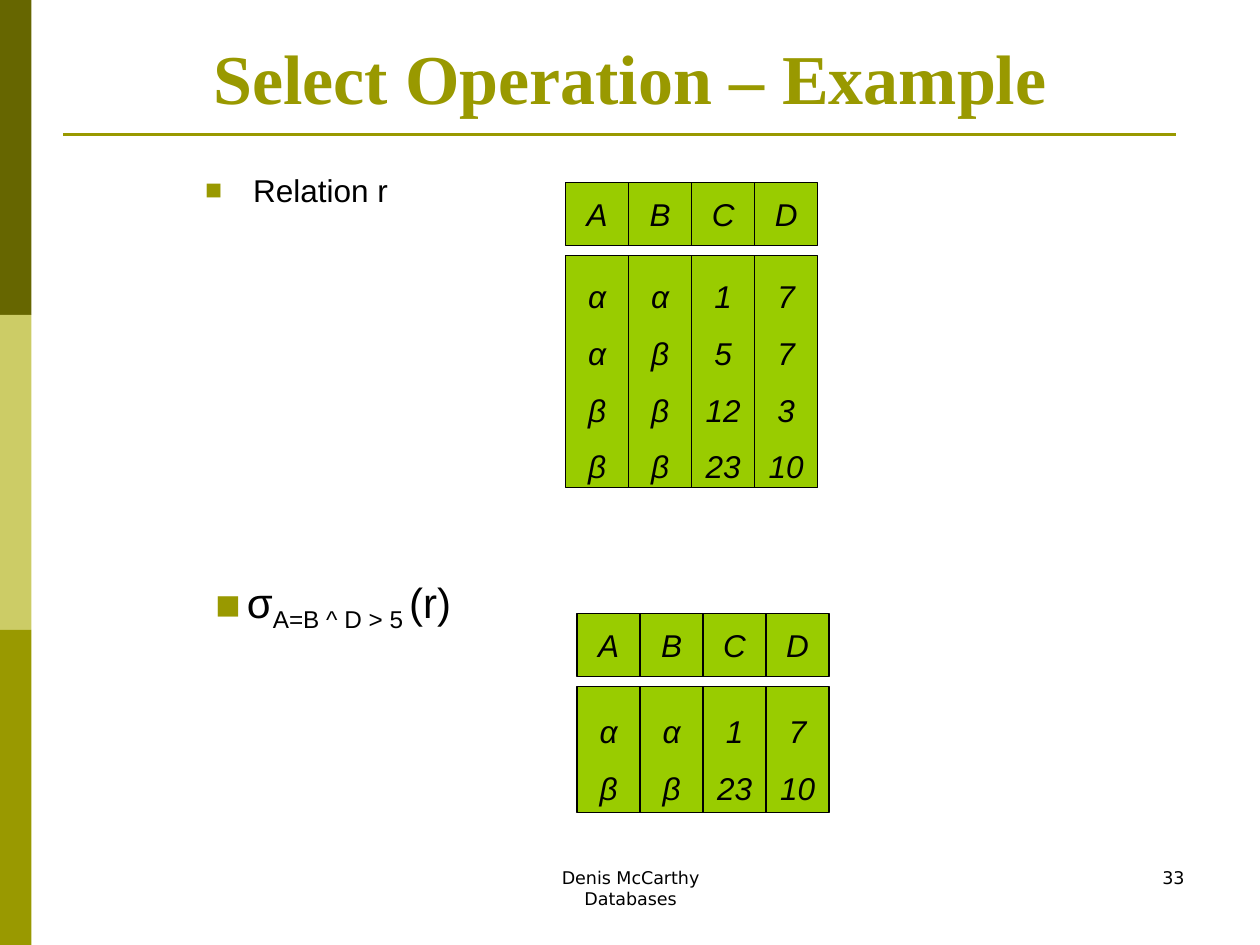
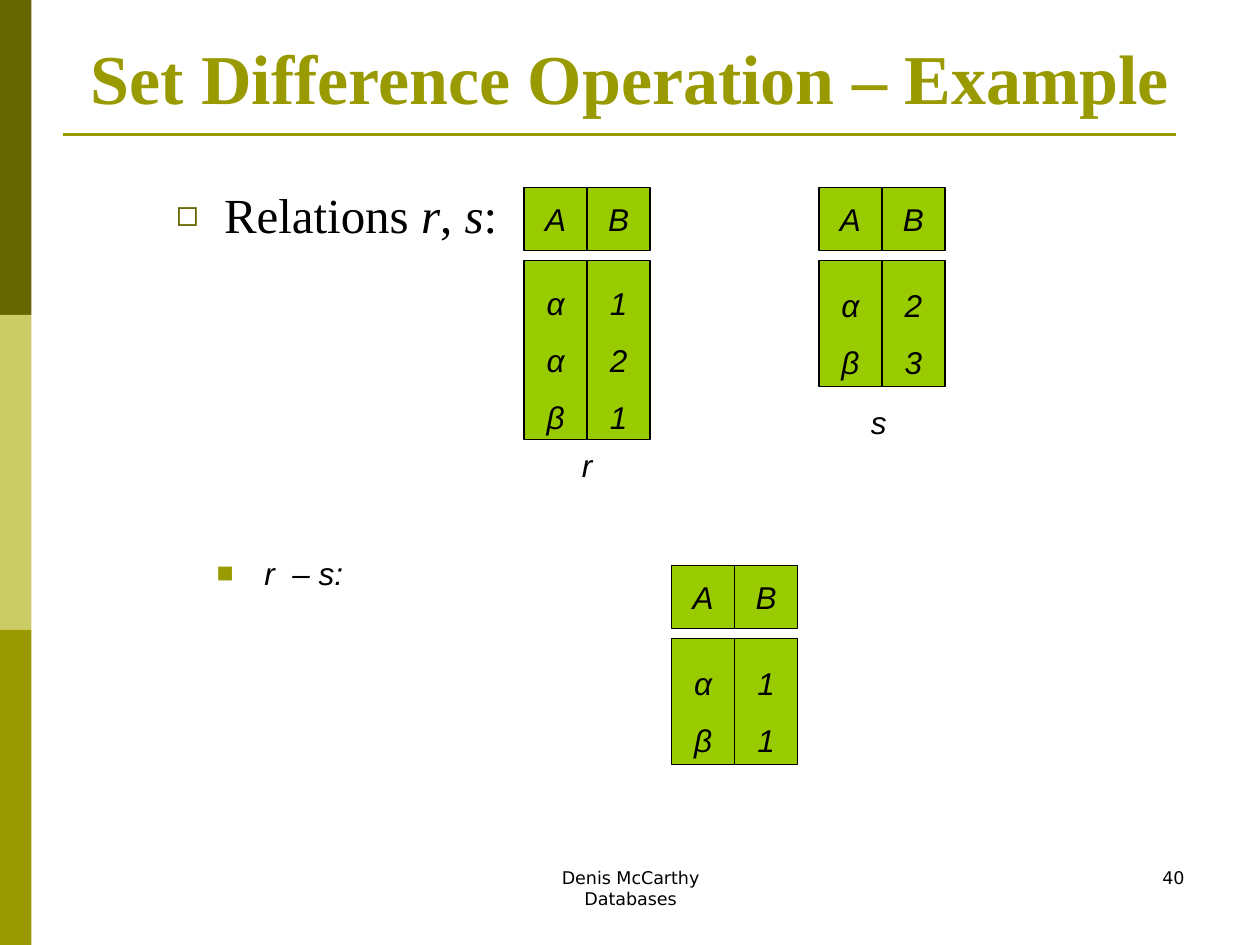
from lxml.etree import SubElement
from pptx import Presentation
from pptx.dml.color import RGBColor
from pptx.enum.shapes import MSO_CONNECTOR as Connector, MSO_SHAPE as Shape
from pptx.enum.text import MSO_ANCHOR as Anchor, PP_ALIGN as Align
from pptx.oxml.ns import qn
from pptx.util import Inches, Pt

COLORS = {
    "dark": "666600",
    "pale": "CCCC66",
    "olive": "999900",
    "cell": "99CC00",
    "ink": "000000",
}
TITLE = {"name": "Times New Roman", "size": Pt(40), "bold": True}
HEADING = {"name": "Times New Roman", "size": Pt(28)}
LABEL = {"name": "Arial", "size": Pt(18)}
VALUE = {**LABEL, "italic": True}
FORMULA = {"name": "Arial", "size": Pt(24)}
FOOTER = {"name": "DejaVu Sans", "size": Pt(10)}
CELL = 0.5
BODY_DROP = 0.58
ROW_HEIGHT = 0.42
BODY_PADDING = 0.16


def rgb(name):
    """Return the named palette colour."""
    return RGBColor.from_string(COLORS[name])


def set_all(target, values):
    """Set every attribute in a dict of format values."""
    for name, value in values.items():
        setattr(target, name, value)


def add_bullet(para, mark, color, percent, indent):
    """Give a paragraph a coloured bullet with a hanging indent."""
    props = para._p.get_or_add_pPr()
    props.set("marL", str(Inches(indent)))
    props.set("indent", str(-Inches(indent)))
    tint = SubElement(props, qn("a:buClr"))
    SubElement(tint, qn("a:srgbClr"), val=COLORS[color])
    SubElement(props, qn("a:buSzPct"), val=str(percent * 1000))
    SubElement(props, qn("a:buFont"), typeface="Arial")
    SubElement(props, qn("a:buChar"), char=mark)


def add_span(para, text, font, color="ink", baseline=0):
    """Add one formatted run, optionally raised or lowered."""
    span = para.add_run()
    span.text = text
    set_all(span.font, font)
    span.font.color.rgb = rgb(color)
    if baseline:
        span._r.get_or_add_rPr().set("baseline", str(baseline * 1000))


def write_lines(box, lines, font, color="ink", frame=None, para_format=None):
    """Write each line as a paragraph; a line is a string or a list of runs."""
    set_all(box.text_frame, {"word_wrap": True, **(frame or {})})
    for index, line in enumerate(lines):
        para = box.text_frame.paragraphs[0] if index == 0 else box.text_frame.add_paragraph()
        set_all(para, para_format or {})
        runs = [(line, {}, 0)] if isinstance(line, str) else line
        for text, extra, baseline in runs:
            add_span(para, text, {**font, **extra}, color, baseline)


def add_text(page, place, lines, font, bullet=None, **options):
    """Add a text box, with a bullet on its first paragraph if given."""
    box = page.shapes.add_textbox(*map(Inches, place))
    if bullet:
        add_bullet(box.text_frame.paragraphs[0], *bullet)
    write_lines(box, lines, font, **options)


def add_rectangle(page, place, fill, outlined=False):
    """Add a flat rectangle with or without a thin outline."""
    box = page.shapes.add_shape(Shape.RECTANGLE, *map(Inches, place))
    box.shadow.inherit = False
    box.fill.solid()
    box.fill.fore_color.rgb = rgb(fill)
    if outlined:
        set_all(box.line, {"width": Pt(0.75)})
        box.line.color.rgb = rgb("ink")
    else:
        box.line.fill.background()
    return box


def add_bands(page):
    """Draw the side bands and the rule under the title."""
    for index, color in enumerate(("dark", "pale", "olive")):
        add_rectangle(page, (0, 2.5 * index, 0.25, 2.5), color)
    rule = page.shapes.add_connector(
        Connector.STRAIGHT, *map(Inches, (0.5, 1.07, 9.33, 1.07)))
    rule.line.color.rgb = rgb("olive")
    rule.line.width = Pt(1.5)
    SubElement(rule._element.spPr, qn("a:effectLst"))


def add_page(deck, title, number):
    """Add a page with its bands, title, footer and number."""
    page = deck.slides.add_slide(deck.slide_layouts[6])
    add_bands(page)
    centred = {"alignment": Align.CENTER}
    add_text(page, (0.5, 0.3, 9, 0.69), [title], TITLE, color="olive",
             frame={"vertical_anchor": Anchor.BOTTOM}, para_format=centred)
    add_text(page, (3.42, 6.83, 3.17, 0.5), ["Denis McCarthy", "Databases"],
             FOOTER, para_format=centred)
    add_text(page, (7.17, 6.83, 2.33, 0.5), [str(number)], FOOTER,
             para_format={"alignment": Align.RIGHT})
    return page


def add_relation(page, left, top, columns):
    """Draw a relation: a heading cell above a box of values per attribute."""
    frame = {"word_wrap": False, "vertical_anchor": Anchor.MIDDLE}
    for index, (attribute, values) in enumerate(columns.items()):
        x = left + CELL * index
        height = BODY_PADDING + ROW_HEIGHT * len(values)
        parts = ((top, CELL, [attribute], 1.0), (top + BODY_DROP, height, values, 1.5))
        for y, tall, lines, spacing in parts:
            box = add_rectangle(page, (x, y, CELL, tall), "cell", outlined=True)
            write_lines(box, lines, VALUE, frame=frame,
                        para_format={"alignment": Align.CENTER, "line_spacing": spacing})


def add_caption(page, place, line, font, bullet=None):
    """Add a centred, unwrapped line of text."""
    add_text(page, place, [line], font, bullet,
             frame={"word_wrap": False, "vertical_anchor": Anchor.MIDDLE},
             para_format={"alignment": Align.CENTER})


def build_select(deck):
    """Build the select operation page."""
    page = add_page(deck, "Select Operation – Example", 33)
    add_text(page, (1.53, 1.31, 1.79, 0.4), ["Relation r"], LABEL,
             ("■", "olive", 90, 0.38))
    add_relation(page, 4.49, 1.45, {
        "A": ["α", "α", "β", "β"],
        "B": ["α", "β", "β", "β"],
        "C": ["1", "5", "12", "23"],
        "D": ["7", "7", "3", "10"],
    })
    formula = [("σ", {}, 0), ("A=B ^ D > 5", {}, -25),
               (" ", {"size": Pt(20)}, -25), ("(r)", {}, 0)]
    add_caption(page, (1.53, 4.55, 2.23, 0.5), formula, FORMULA,
                ("■", "olive", 100, 0.25))
    add_relation(page, 4.58, 4.87, {
        "A": ["α", "β"],
        "B": ["α", "β"],
        "C": ["1", "23"],
        "D": ["7", "10"],
    })


def build_difference(deck):
    """Build the set difference operation page."""
    page = add_page(deck, "Set Difference Operation – Example", 40)
    italic = {"italic": True}
    heading = [("Relations ", {}, 0), ("r", italic, 0), (", ", {}, 0),
               ("s", italic, 0), (":", {}, 0)]
    tight = {"line_spacing": 0.9}
    add_text(page, (1.3, 1.47, 7.5, 0.38), [heading], HEADING,
             ("◻", "dark", 75, 0.38), para_format=tight)
    add_text(page, (1.62, 4.38, 7.69, 0.36), ["r  – s:"], VALUE,
             ("■", "olive", 90, 0.38), para_format=tight)
    add_relation(page, 4.16, 1.49, {"A": ["α", "α", "β"], "B": ["1", "2", "1"]})
    add_relation(page, 6.5, 1.49, {"A": ["α", "β"], "B": ["2", "3"]})
    add_caption(page, (4.52, 3.49, 0.28, 0.4), "r", VALUE)
    add_caption(page, (6.81, 3.15, 0.33, 0.4), "s", VALUE)
    add_relation(page, 5.33, 4.49, {"A": ["α", "β"], "B": ["1", "1"]})


def main():
    """Build and save the deck."""
    deck = Presentation()
    set_all(deck, {"slide_width": Inches(10), "slide_height": Inches(7.5)})
    build_select(deck)
    build_difference(deck)
    deck.save("out.pptx")


if __name__ == "__main__":
    main()
